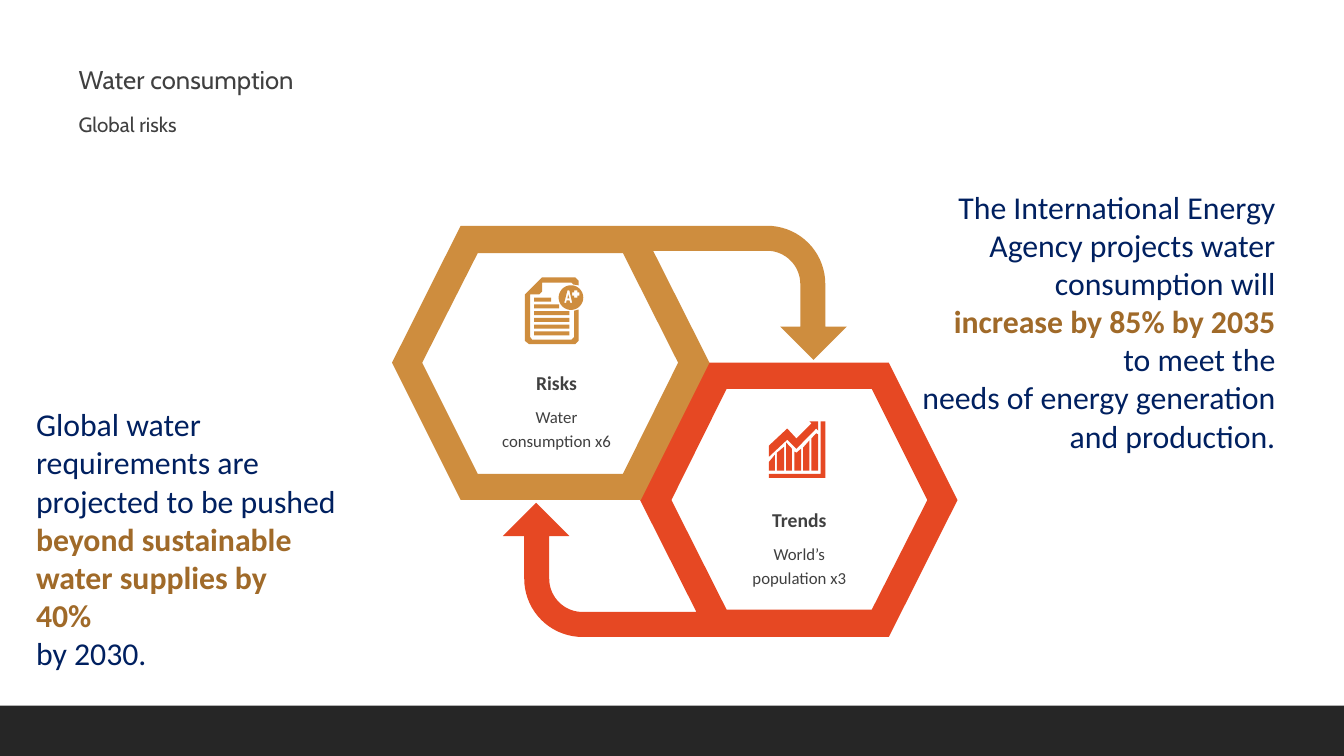
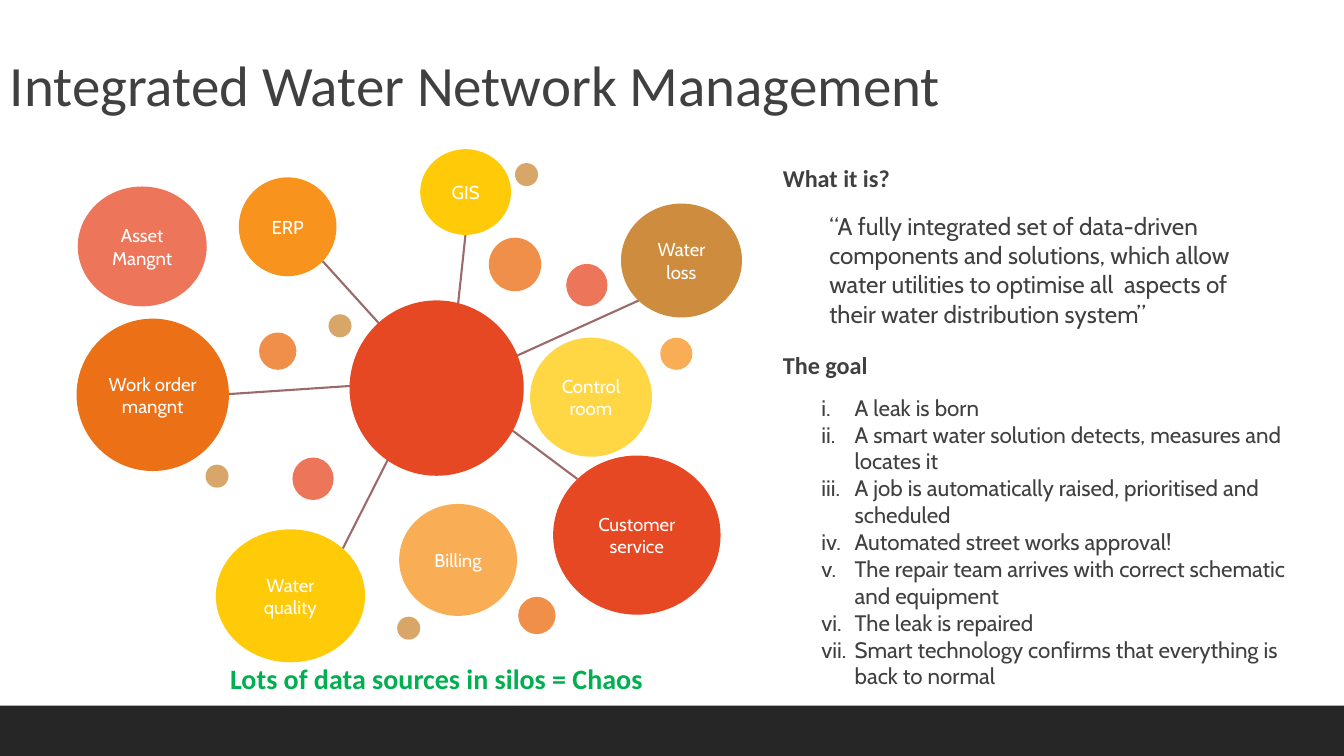
from copy import deepcopy
from dataclasses import dataclass
from math import cos, radians, sin
from typing import NamedTuple

from lxml.etree import SubElement
from pptx import Presentation
from pptx.dml.color import RGBColor
from pptx.enum.shapes import MSO_CONNECTOR, MSO_SHAPE
from pptx.enum.text import MSO_ANCHOR, MSO_AUTO_SIZE, PP_ALIGN
from pptx.oxml.ns import qn
from pptx.util import Cm, Pt

WIDTH, HEIGHT, BAND = 33.87, 19.05, 1.27
NAVY, BROWN, GREY, WHITE, GREEN = "002060", "A06A29", "404040", "FFFFFF", "00B050"
RED, GOLD, YELLOW, ORANGE, AMBER = "E64823", "CE8D3E", "FFCA08", "EC7016", "F8931D"
DARK, MAUVE = "262626", "9C6A6A"
Contour = list[tuple[float, float]]


class Style(NamedTuple):
    """Look of a run."""

    size: float
    font: str = "Calibri"
    color: str = GREY
    bold: bool = False


@dataclass
class Block:
    """Free text at a place, one paragraph per line."""

    left: float
    top: float
    width: float
    height: float
    lines: list[tuple[str, Style]]
    align: PP_ALIGN = PP_ALIGN.LEFT
    gap: float = 0
    numbered: bool = False


class Bubble(NamedTuple):
    """Circle with an optional label."""

    left: float
    top: float
    width: float
    height: float
    color: str
    label: str = ""
    opacity: int = 100


class Link(NamedTuple):
    """Straight line between two points."""

    x1: float
    y1: float
    x2: float
    y2: float


class Panel(NamedTuple):
    """Hexagon caption."""

    center: float
    top: float
    heading: str
    detail: tuple[str, str]


def paint(target, color: str) -> None:
    """Set a solid fill from a hex string."""
    target.solid()
    target.fore_color.rgb = RGBColor.from_string(color)


def add_run(para, text: str, style: Style) -> None:
    """Append a formatted run."""
    span = para.add_run()
    span.text = text
    span.font.size = Pt(style.size)
    span.font.name = style.font
    span.font.bold = style.bold
    span.font.color.rgb = RGBColor.from_string(style.color)


def number(para) -> None:
    """Number a paragraph with small roman numerals."""
    properties = para._p.get_or_add_pPr()
    properties.set("marL", str(Cm(0.84)))
    properties.set("indent", str(-Cm(0.84)))
    SubElement(properties, qn("a:buFont"), typeface="Cabin")
    SubElement(properties, qn("a:buAutoNum"), type="romanLcPeriod")


def fill_text(frame, block: Block) -> None:
    """Write the lines of a block into a text frame."""
    frame.word_wrap = True
    for index, (text, style) in enumerate(block.lines):
        para = frame.add_paragraph() if index else frame.paragraphs[0]
        para.alignment = block.align
        if block.numbered:
            number(para)
        if index and block.gap:
            para.space_before = Pt(block.gap)
        add_run(para, text, style)


def place(block: Block) -> tuple:
    """Give the position and size of a block."""
    return Cm(block.left), Cm(block.top), Cm(block.width), Cm(block.height)


def add_block(page, block: Block) -> None:
    """Draw a text box."""
    fill_text(page.shapes.add_textbox(*place(block)).text_frame, block)


def set_title(page, block: Block, spacing: float) -> None:
    """Move and format the title placeholder."""
    title = page.shapes.title
    title.left, title.top, title.width, title.height = place(block)
    frame = title.text_frame
    frame.auto_size = MSO_AUTO_SIZE.NONE
    frame.vertical_anchor = MSO_ANCHOR.TOP
    frame.margin_left = frame.margin_right = 0
    fill_text(frame, block)
    for para in frame.paragraphs:
        para.line_spacing = spacing


def finish(shape, color: str):
    """Give a shape a flat fill without line or shadow."""
    shape.shadow.inherit = False
    paint(shape.fill, color)
    shape.line.fill.background()
    return shape


def add_band(deck, page) -> None:
    """Put the bottom band on the slide master."""
    band = finish(page.shapes.add_shape(
        MSO_SHAPE.RECTANGLE, 0, Cm(HEIGHT - BAND), Cm(WIDTH), Cm(BAND)), DARK)
    deck.slide_master.shapes.element.insert(2, deepcopy(band.element))
    band.element.getparent().remove(band.element)


def arc(x: float, y: float, radius: float, start: int, end: int) -> Contour:
    """Sample an arc, angles in degrees clockwise from the right."""
    step = 5 if end > start else -5
    return [(x + radius * cos(radians(a)), y + radius * sin(radians(a)))
            for a in range(start, end + step, step)]


def add_outline(page, contours: list[Contour], color: str, left: float = 0, top: float = 0):
    """Draw closed contours as one shape."""
    moved = [[(Cm(left + x), Cm(top + y)) for x, y in contour] for contour in contours]
    builder = page.shapes.build_freeform(*moved[0][0], scale=1.0)
    for index, points in enumerate(moved):
        if index:
            builder.move_to(*points[0])
        builder.add_line_segments(points[1:], close=True)
    return finish(builder.convert_to_shape(), color)


def add_bubble(page, bubble: Bubble) -> None:
    """Draw a circle with its label."""
    shape = finish(page.shapes.add_shape(
        MSO_SHAPE.OVAL, Cm(bubble.left), Cm(bubble.top),
        Cm(bubble.width), Cm(bubble.height)), bubble.color)
    if bubble.opacity < 100:
        color = shape.element.spPr.find(".//" + qn("a:srgbClr"))
        SubElement(color, qn("a:alpha"), val=str(bubble.opacity * 1000))
    if bubble.label:
        frame = shape.text_frame
        frame.margin_left = frame.margin_right = Cm(0.2)
        frame.vertical_anchor = MSO_ANCHOR.MIDDLE
        frame.word_wrap = True
        para = frame.paragraphs[0]
        para.alignment = PP_ALIGN.CENTER
        add_run(para, bubble.label, Style(13.3, "Cabin", WHITE))


def add_link(page, link: Link) -> None:
    """Draw a thin line."""
    line = page.shapes.add_connector(MSO_CONNECTOR.STRAIGHT, *(Cm(value) for value in link))
    paint(line.line.fill, MAUVE)
    line.line.width = Pt(1.5)
    SubElement(line.element.spPr, qn("a:effectLst"))


def box(left: float, top: float, right: float, bottom: float) -> Contour:
    """Outline a rectangle."""
    return [(left, top), (right, top), (right, bottom), (left, bottom)]


HOLE = [(12.04, 6.38), (10.64, 9.14), (12.04, 11.94),
        (15.7, 11.94), (17.09, 9.14), (15.7, 6.38)]
RING = [(11.61, 5.69), *arc(19.33, 7.16, 1.47, -90, 0), (20.8, 8.23), (21.34, 8.23),
        (20.5, 9.07), (19.66, 8.23), (20.17, 8.23), *arc(19.33, 7.16, 0.84, 0, -90),
        (16.46, 6.32), (17.88, 9.14), (16.15, 12.6), (11.61, 12.6), (9.88, 9.14)]
CHART_ICON = [
    [(0.15, 0.84), (0.15, 1.24), (0, 1.24), (0, 1.02)],
    [(0.38, 0.64), (0.38, 1.24), (0.2, 1.24), (0.2, 0.79)],
    [(0.43, 0.53), (0.58, 0.69), (0.58, 1.24), (0.43, 1.24)],
    [(0.81, 0.69), (0.81, 1.24), (0.64, 1.24), (0.64, 0.76), (0.69, 0.79)],
    [(1.02, 0.48), (1.02, 1.24), (0.86, 1.24), (0.86, 0.66)],
    [(1.19, 0.3), (1.24, 0.33), (1.24, 1.24), (1.07, 1.24), (1.07, 0.43)],
    [(1.24, 0), (1.24, 0.23), (1.19, 0.18), (0.69, 0.69), (0.46, 0.46), (0, 0.89),
     (0, 0.61), (0.46, 0.18), (0.69, 0.43), (1.07, 0.05), (1.02, 0)],
    [(1.3, 0), (1.42, 0), (1.42, 1.42), (0, 1.42), (0, 1.32), (1.3, 1.32)],
]
REPORT_ICON = [
    [(0.43, 0), (1.27, 0), (1.35, 0.08), (1.35, 0.2), (1.22, 0.18), (1.17, 0.13),
     (0.43, 0.13), (0.43, 0.36), (0.36, 0.43), (0.13, 0.43), (0.13, 1.5), (0.18, 1.57),
     (1.17, 1.57), (1.24, 1.5), (1.24, 0.84), (1.35, 0.81), (1.35, 1.6), (1.27, 1.68),
     (0.1, 1.68), (0, 1.6), (0, 0.43)],
    *[box(0.23, 0.51 + 0.17 * row, right, 0.61 + 0.17 * row)
      for row, right in enumerate([0.66, 0.86, 1.12, 1.12, 1.12, 1.12])],
    arc(1.16, 0.51, 0.31, 0, 355),
    [(1.07, 0.33), (0.99, 0.64), (1.04, 0.64), (1.05, 0.58), (1.12, 0.58),
     (1.14, 0.64), (1.19, 0.64), (1.12, 0.33)],
    [(1.09, 0.43), (1.12, 0.53), (1.07, 0.53)],
    [(1.24, 0.33), (1.32, 0.33), (1.32, 0.38), (1.37, 0.38), (1.37, 0.46), (1.32, 0.46),
     (1.32, 0.51), (1.24, 0.51), (1.24, 0.46), (1.19, 0.46), (1.19, 0.38), (1.24, 0.38)],
]
PLAIN, STRONG = Style(22.7, color=NAVY), Style(22.7, color=BROWN, bold=True)
HEADING = Style(17.3, bold=True)
PANELS = [Panel(14.02, 9.22, "Risks", ("Water", "consumption x6")),
          Panel(20.14, 12.67, "Trends", ("World’s", "population x3"))]
PROJECTIONS = [
    Block(22.74, 4.6, 9.65, 7.04, [
        ("The International Energy", PLAIN), ("Agency projects water", PLAIN),
        ("consumption will", PLAIN), ("increase by 85% by 2035", STRONG),
        ("to meet the", PLAIN), ("needs of energy generation", PLAIN),
        ("and production.", PLAIN)], PP_ALIGN.RIGHT),
    Block(0.66, 10.08, 10.87, 7.04, [
        ("Global water", PLAIN), ("requirements are", PLAIN),
        ("projected to be pushed", PLAIN), ("beyond sustainable", STRONG),
        ("water supplies by", STRONG), ("40%", STRONG), ("by 2030.", PLAIN)]),
]
LINKS = [Link(11.15, 9.53, 14.55, 12.07), Link(10.74, 9.68, 8.64, 13.82),
         Link(11, 9.58, 5.77, 9.93), Link(11, 9.75, 8.13, 6.58),
         Link(11.28, 10.13, 11.73, 5.92), Link(11.18, 9.8, 16.1, 7.57)]
BUBBLES = [
    Bubble(8.81, 7.57, 4.39, 4.42, RED),
    Bubble(15.65, 5.13, 3.05, 2.87, GOLD, "Water loss"),
    Bubble(10.59, 3.76, 2.29, 2.16, YELLOW, "GIS"),
    Bubble(13.94, 11.48, 4.22, 4.01, RED, "Customer service"),
    Bubble(5.44, 13.34, 3.76, 3.35, YELLOW, "Water quality"),
    Bubble(1.93, 8.03, 3.84, 3.84, ORANGE, "Work order mangnt"),
    Bubble(6.02, 4.47, 2.46, 2.49, AMBER, "ERP"),
    Bubble(10.06, 12.7, 2.97, 2.82, AMBER, "Billing", 75),
    Bubble(1.96, 4.7, 3.25, 3.02, RED, "Asset Mangnt", 75),
    Bubble(13.36, 8.51, 3.07, 3, YELLOW, "Control room", 75),
    Bubble(12.32, 5.99, 1.32, 1.35, ORANGE, opacity=78),
    Bubble(16.64, 8.51, 0.81, 0.81, AMBER, opacity=75),
    *[Bubble(x, y, 1.04, 1.07, RED, opacity=75) for x, y in [(7.37, 11.53), (14.27, 6.65)]],
    *[Bubble(x, y, 0.94, 0.94, ORANGE, opacity=78) for x, y in [(6.53, 8.38), (13.06, 15.04)]],
    *[Bubble(x, y, 0.58, 0.58, GOLD, opacity=78)
      for x, y in [(8.28, 7.92), (12.98, 4.11), (10.01, 15.54), (5.18, 11.71)]],
]
GOALS = ["A leak is born", "A smart water solution detects, measures and locates it",
         "A job is automatically raised, prioritised and scheduled",
         "Automated street works approval!",
         "The repair team arrives with correct schematic and equipment",
         "The leak is repaired", "Smart technology confirms that everything is back to normal"]
NETWORK_TEXTS = [
    Block(3.94, 16.54, 14.12, 1.12, [("Lots of data sources in silos = Chaos",
                                      Style(20, color=GREEN, bold=True))], PP_ALIGN.CENTER),
    Block(19.48, 3.99, 11.02, 0.99, [("What it is?", HEADING)]),
    Block(20.65, 5.21, 11.02, 3.23, [(
        "“A fully integrated set of data-driven components and solutions, which allow water "
        "utilities to optimise all  aspects of their water distribution system”",
        Style(17.3, "Cabin"))]),
    Block(19.48, 8.71, 11.02, 0.99, [("The goal", HEADING)]),
    Block(20.45, 9.8, 12.57, 7.77, [(goal, Style(16, "Cabin")) for goal in GOALS], numbered=True),
]


def build_consumption(page) -> None:
    """Draw the two linked hexagons and the projections."""
    set_title(page, Block(1.98, 1.57, 29.9, 2.01, [
        ("Water consumption", Style(18.3, "Cabin")),
        ("Global risks", Style(14.7, "Cabin"))], gap=14), 0.9)
    trend_ring = add_outline(page, [HOLE, RING], RED)
    trend_ring.left, trend_ring.top, trend_ring.rotation = Cm(12.67), Cm(9.14), 180
    add_outline(page, [HOLE, RING], GOLD)
    add_outline(page, CHART_ICON, RED, 19.38, 10.62)
    add_outline(page, REPORT_ICON, GOLD, 13.23, 6.99)
    for panel in PANELS:
        left = panel.center - 2.51
        add_block(page, Block(left, panel.top, 5.03, 0.84, [
            (panel.heading, Style(14, bold=True))], PP_ALIGN.CENTER))
        add_block(page, Block(left, panel.top + 0.91, 5.03, 1.3, [
            (line, Style(12)) for line in panel.detail], PP_ALIGN.CENTER, 2.4))
    for block in PROJECTIONS:
        add_block(page, block)


def build_network(page) -> None:
    """Draw the data silos and the goals."""
    set_title(page, Block(0.25, 1.12, 32.16, 2.01, [
        ("Integrated Water Network Management", Style(40.7))]), 1.0)
    for link in LINKS:
        add_link(page, link)
    for bubble in BUBBLES:
        add_bubble(page, bubble)
    for block in NETWORK_TEXTS:
        add_block(page, block)


def main() -> None:
    """Build and save the deck."""
    deck = Presentation()
    deck.slide_width, deck.slide_height = Cm(WIDTH), Cm(HEIGHT)
    pages = [deck.slides.add_slide(deck.slide_layouts[5]) for _ in range(2)]
    add_band(deck, pages[0])
    build_consumption(pages[0])
    build_network(pages[1])
    deck.save("out.pptx")


if __name__ == "__main__":
    main()
